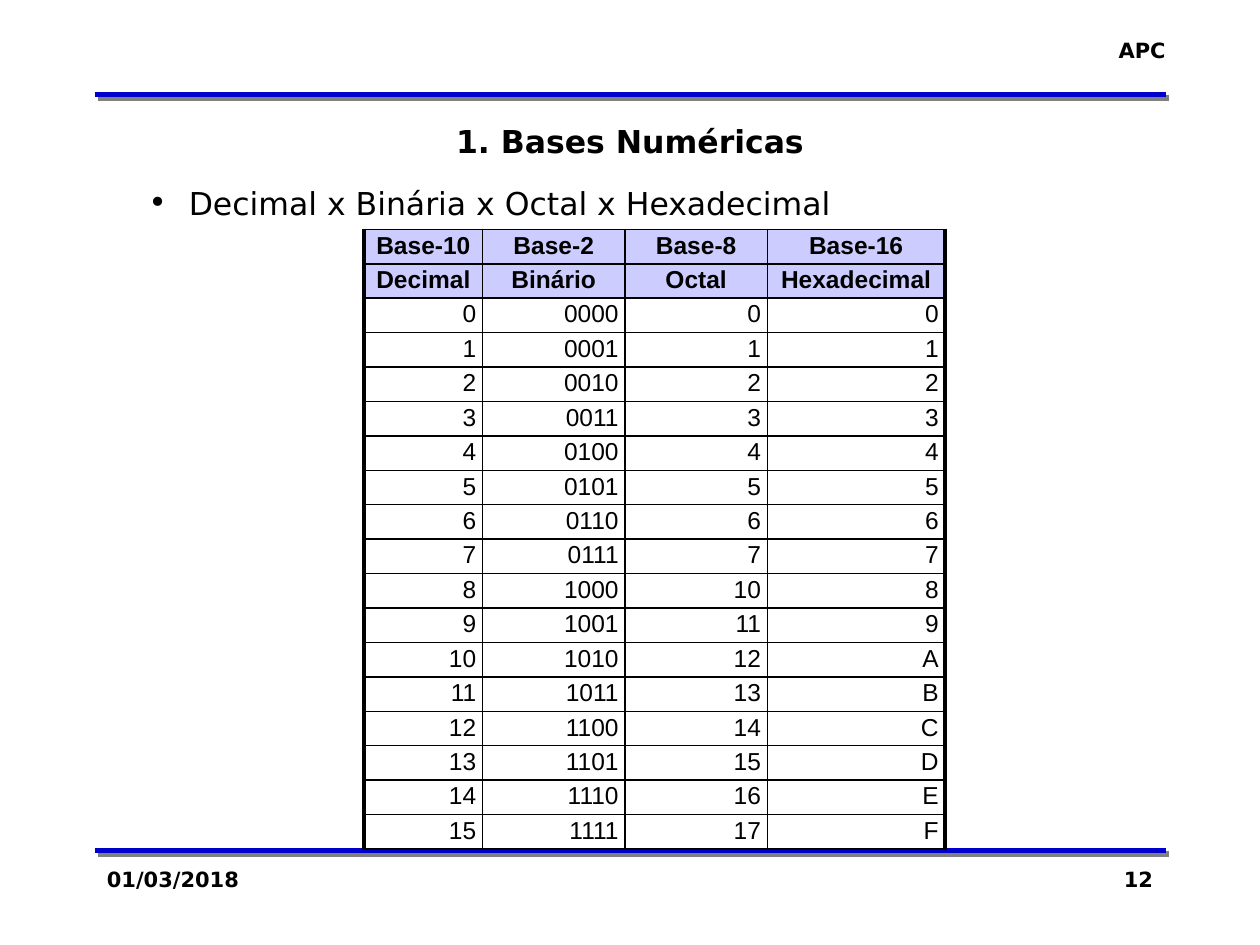
from lxml import etree
from pptx import Presentation
from pptx.dml.color import RGBColor
from pptx.enum.shapes import MSO_CONNECTOR
from pptx.enum.text import MSO_ANCHOR, PP_ALIGN
from pptx.oxml import parse_xml
from pptx.oxml.ns import nsdecls, qn
from pptx.util import Inches, Pt

LEFT, CENTER, RIGHT, JUSTIFY = PP_ALIGN.LEFT, PP_ALIGN.CENTER, PP_ALIGN.RIGHT, PP_ALIGN.JUSTIFY
STRAIGHT = MSO_CONNECTOR.STRAIGHT
BODY_FONT, TABLE_FONT = "DejaVu Sans", "Arial"
BLACK, BLUE, GRAY, LILAC = "000000", "0000CC", "808080", "CCCCFF"

TITLE = "1. Bases Numéricas"
TOPIC = "Decimal x Binária x Octal x Hexadecimal"
HEADERS = [
    ("Base-10", "Base-2", "Base-8", "Base-16"),
    ("Decimal", "Binário", "Octal", "Hexadecimal"),
]
NUMBERS = [(f"{n}", f"{n:04b}", f"{n:o}", f"{n:X}") for n in range(16)]

# text, (left, top, width, height), alignment
CORNER_TEXTS = [
    ("APC", (8.6, 0.25, 0.75, 0.3), RIGHT),
    ("01/03/2018", (0.75, 6.83, 2.08, 0.5), LEFT),
    ("12", (7.17, 6.83, 2.08, 0.5), RIGHT),
]
RULE_LEFT, RULE_RIGHT = 0.75, 9.25
RULE_TOPS = [0.75, 6.75]
TABLE_BOX = (2.89, 1.82, 4.61, 4.92)
COLUMN_WIDTHS = [0.94, 1.13, 1.13, 1.41]


def color(hex_value):
    return RGBColor.from_string(hex_value)


def write(frame, text, size, alignment, bold=False, font=BODY_FONT):
    paragraph = frame.paragraphs[0]
    paragraph.alignment = alignment
    run = paragraph.add_run()
    run.text = text
    run.font.name = font
    run.font.size = Pt(size)
    run.font.bold = bold
    run.font.color.rgb = color(BLACK)
    return paragraph


def add_text(slide, text, box, size, alignment, bold=False):
    frame = slide.shapes.add_textbox(*map(Inches, box)).text_frame
    frame.word_wrap = True
    return write(frame, text, size, alignment, bold)


def add_rule(slide, top):
    """Draw a blue line across the slide with a hard gray shadow."""
    line = slide.shapes.add_connector(
        STRAIGHT, Inches(RULE_LEFT), Inches(top), Inches(RULE_RIGHT), Inches(top))
    line.line.color.rgb = color(BLUE)
    line.line.width = Pt(3)
    line._element.spPr.append(parse_xml(
        f'<a:effectLst {nsdecls("a")}><a:outerShdw dist="{Pt(2.8)}" dir="2700000" algn="ctr">'
        f'<a:srgbClr val="{GRAY}"/></a:outerShdw></a:effectLst>'))


def add_bullet(paragraph, indent):
    properties = paragraph._p.get_or_add_pPr()
    properties.set("marL", str(Inches(indent)))
    properties.set("indent", str(-Inches(indent)))
    etree.SubElement(properties, qn("a:buFont"), typeface=BODY_FONT)
    etree.SubElement(properties, qn("a:buChar"), char="•")


def set_borders(cell, widths):
    """Set the black cell borders; widths in points by side (L, R, T, B)."""
    properties = cell._tc.get_or_add_tcPr()
    for position, (side, width) in enumerate(widths.items()):
        properties.insert(position, parse_xml(
            f'<a:ln{side} {nsdecls("a")} w="{Pt(width)}"><a:solidFill>'
            f'<a:srgbClr val="{BLACK}"/></a:solidFill></a:ln{side}>'))


def add_base_table(slide):
    rows = HEADERS + NUMBERS
    last_column = len(COLUMN_WIDTHS) - 1
    table = slide.shapes.add_table(
        len(rows), len(COLUMN_WIDTHS), *map(Inches, TABLE_BOX)).table
    table.first_row = table.horz_banding = False
    for column, width in zip(table.columns, COLUMN_WIDTHS):
        column.width = Inches(width)
    for row_index, values in enumerate(rows):
        is_header = row_index < len(HEADERS)
        for column_index, value in enumerate(values):
            cell = table.cell(row_index, column_index)
            cell.margin_left = cell.margin_right = Inches(0.05)
            cell.margin_top = cell.margin_bottom = Inches(0.02)
            if is_header:
                cell.fill.solid()
                cell.fill.fore_color.rgb = color(LILAC)
            else:
                cell.fill.background()
            write(cell.text_frame, value, 14, CENTER if is_header else RIGHT,
                  is_header, TABLE_FONT)
            set_borders(cell, {
                "L": 2.25 if column_index == 0 else 1,
                "R": 2.25 if column_index == last_column else 1,
                "T": 1,
                "B": 1,
            })


def add_title(slide):
    title = slide.shapes.title
    title.left, title.top, title.width, title.height = map(Inches, (0.75, 0.92, 8.5, 0.4))
    title.text_frame.vertical_anchor = MSO_ANCHOR.MIDDLE
    write(title.text_frame, TITLE, 18, CENTER, bold=True)


def main():
    presentation = Presentation()
    presentation.slide_width, presentation.slide_height = Inches(10), Inches(7.5)
    slide = presentation.slides.add_slide(presentation.slide_layouts[5])
    add_title(slide)
    for top in RULE_TOPS:
        add_rule(slide, top)
    for text, box, alignment in CORNER_TEXTS:
        add_text(slide, text, box, 12, alignment, bold=True)
    topic = add_text(slide, TOPIC, (1.08, 1.41, 7.9, 0.4), 18, JUSTIFY)
    add_bullet(topic, 0.32)
    add_base_table(slide)
    presentation.save("out.pptx")


if __name__ == "__main__":
    main()
